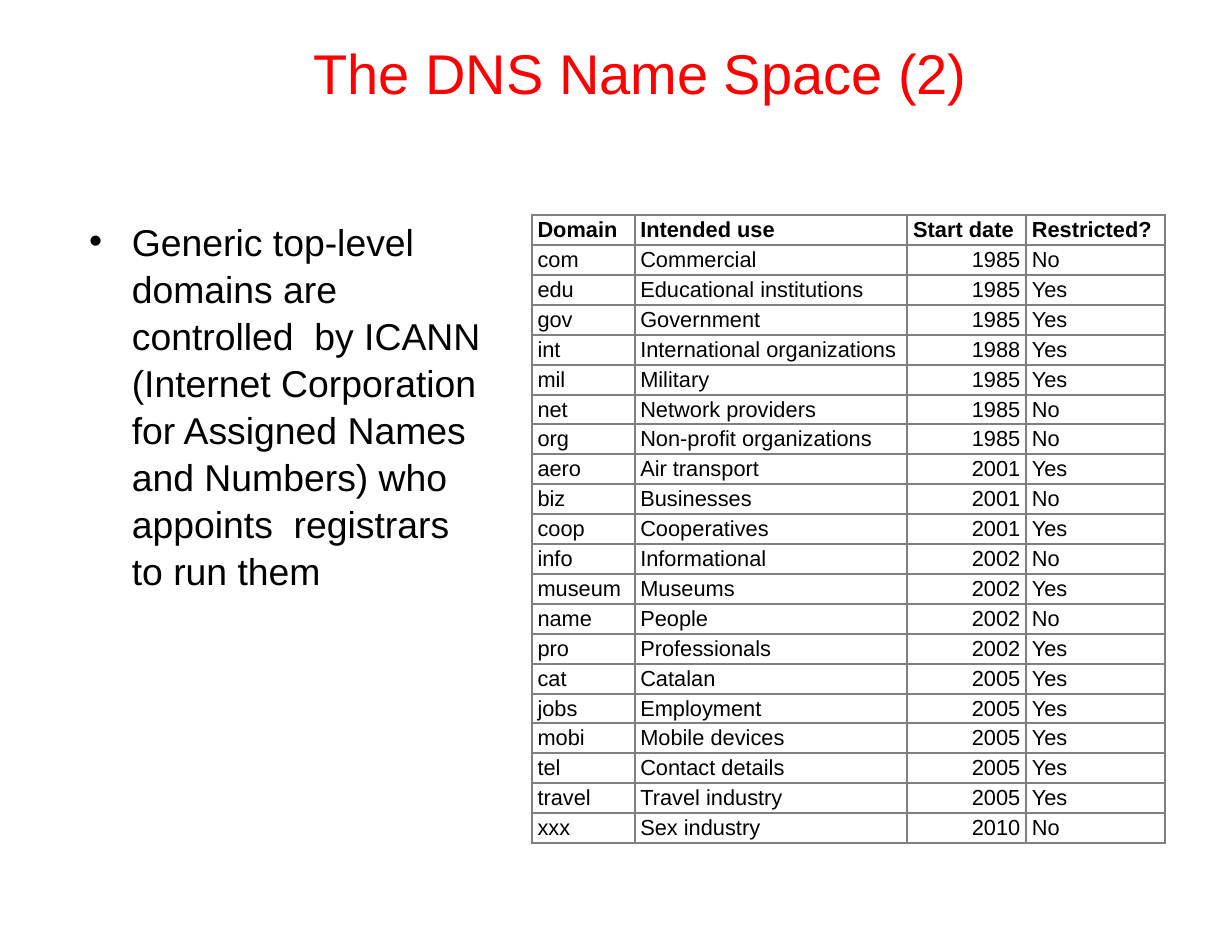
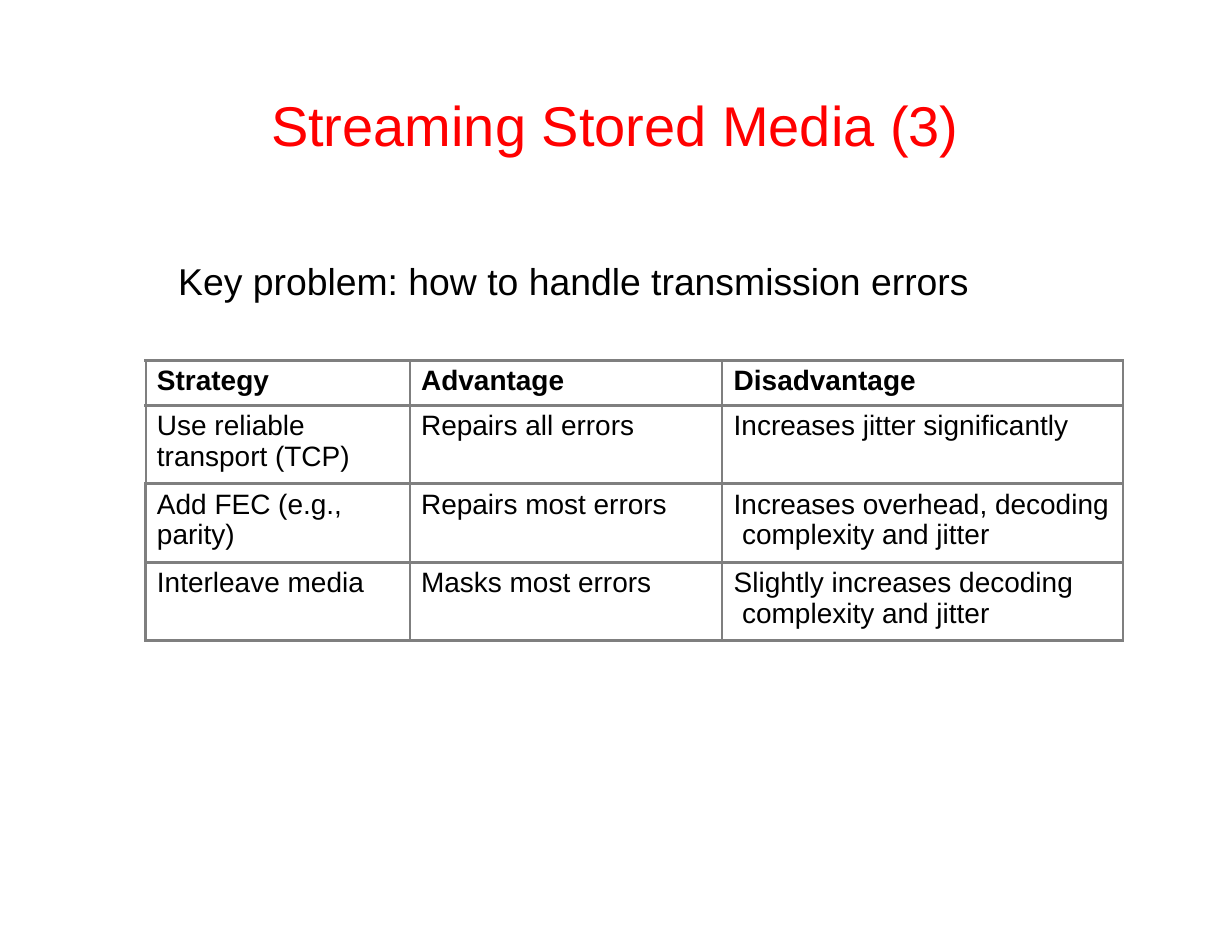
from lxml import etree
from pptx import Presentation
from pptx.dml.color import RGBColor
from pptx.enum.text import MSO_ANCHOR, MSO_AUTO_SIZE, PP_ALIGN
from pptx.oxml.ns import qn
from pptx.util import Cm, Pt

LEFT, RIGHT = PP_ALIGN.LEFT, PP_ALIGN.RIGHT
TOP, MIDDLE = MSO_ANCHOR.TOP, MSO_ANCHOR.MIDDLE
GROW = MSO_AUTO_SIZE.SHAPE_TO_FIT_TEXT
FONT = "Arial"
HUES = {"title": "FF0000", "text": "000000", "rule": "808080", "line": "7F7F7F"}


def put(shape, box, text, size, hue, bullet=False):
    """Move a placeholder, fill it with one paragraph and format it."""
    shape.left, shape.top, shape.width, shape.height = [Cm(n) for n in box]
    frame = shape.text_frame
    frame.text = text
    frame.word_wrap = True
    frame.auto_size = GROW
    frame.vertical_anchor = TOP
    frame.margin_left = frame.margin_right = frame.margin_bottom = 0
    frame.margin_top = Cm(0.03)
    para = frame.paragraphs[0]
    para.alignment = LEFT
    para.space_before = Pt(0)
    props = para._p.get_or_add_pPr()
    props.set("marL", str(Cm(0.98 if bullet else 0)))
    props.set("indent", str(Cm(-0.97 if bullet else 0)))
    if bullet:
        para.line_spacing = 1.05
        etree.SubElement(props, qn("a:buFont"), typeface=FONT)
        etree.SubElement(props, qn("a:buChar"), char="•")
    else:
        etree.SubElement(props, qn("a:buNone"))
    para.font.name, para.font.size = FONT, Pt(size)
    para.font.color.rgb = RGBColor.from_string(HUES[hue])


def grid(slide, spot, cols, highs, rows, size, pads, hue, rules):
    """Add a ruled table with a bold head row; rules gives side and flat widths."""
    table = slide.shapes.add_table(
        len(rows), len(cols), Cm(spot[0]), Cm(spot[1]), Cm(sum(cols)), Cm(sum(highs))
    ).table
    table.first_row = table.horz_banding = False
    for col, wide in zip(table.columns, cols):
        col.width = Cm(wide)
    for r, (row, high) in enumerate(zip(rows, highs)):
        table.rows[r].height = Cm(high)
        for c, text in enumerate(row):
            cell = table.cell(r, c)
            cell.text = text
            (cell.margin_left, cell.margin_top,
             cell.margin_right, cell.margin_bottom) = [Cm(n) for n in pads]
            for side in "LRTB":
                wide = rules[0] if side in "LR" else rules[1]
                if side == "L" and c == 0 and r > 1:
                    wide = rules[1]
                line = etree.SubElement(
                    cell._tc.get_or_add_tcPr(), qn("a:ln" + side), w=str(Pt(wide)))
                fill = etree.SubElement(line, qn("a:solidFill"))
                etree.SubElement(fill, qn("a:srgbClr"), val=HUES[hue])
            cell.fill.background()
            font = cell.text_frame.paragraphs[0].font
            font.name, font.size, font.bold = FONT, Pt(size), r == 0
            font.color.rgb = RGBColor.from_string(HUES["text"])
    return table


deck = Presentation()
deck.slide_width, deck.slide_height = Cm(27.94), Cm(21.59)
plan = deck.slide_layouts[1]

# Slide 1: title and list
slide = deck.slides.add_slide(plan)
put(slide.shapes.title, (7.11, 0.84, 14.88, 1.6), "The DNS Name Space (2)", 36, "title")
put(slide.placeholders[1], (2.01, 4.88, 9.07, 8.26),
    "Generic top-level domains are controlled  by ICANN (Internet Corporation "
    "for Assigned Names and Numbers) who appoints  registrars to run them",
    24, "text", bullet=True)

# Slide 1: table of domains
names = [
    ("Domain", "Intended use", "Start date", "Restricted?"),
    ("com", "Commercial", "1985", "No"),
    ("edu", "Educational institutions", "1985", "Yes"),
    ("gov", "Government", "1985", "Yes"),
    ("int", "International organizations", "1988", "Yes"),
    ("mil", "Military", "1985", "Yes"),
    ("net", "Network providers", "1985", "No"),
    ("org", "Non-profit organizations", "1985", "No"),
    ("aero", "Air transport", "2001", "Yes"),
    ("biz", "Businesses", "2001", "No"),
    ("coop", "Cooperatives", "2001", "Yes"),
    ("info", "Informational", "2002", "No"),
    ("museum", "Museums", "2002", "Yes"),
    ("name", "People", "2002", "No"),
    ("pro", "Professionals", "2002", "Yes"),
    ("cat", "Catalan", "2005", "Yes"),
    ("jobs", "Employment", "2005", "Yes"),
    ("mobi", "Mobile devices", "2005", "Yes"),
    ("tel", "Contact details", "2005", "Yes"),
    ("travel", "Travel industry", "2005", "Yes"),
    ("xxx", "Sex industry", "2010", "No"),
]
table = grid(slide, (12.06, 4.88), (2.33, 6.19, 2.69, 3.14),
             [14.25 / len(names)] * len(names), names, 14,
             (0.13, 0.03, 0.13, 0.03), "rule", (1.5, 1.5))
for cell in table.iter_cells():
    cell.vertical_anchor = MIDDLE
for r in range(1, len(names)):
    table.cell(r, 2).text_frame.paragraphs[0].alignment = RIGHT

# Slide 2: title and key line
slide = deck.slides.add_slide(plan)
put(slide.shapes.title, (6.15, 2.03, 15.67, 1.6), "Streaming Stored Media (3)", 36, "title")
put(slide.placeholders[1], (4.04, 5.82, 18.01, 1.09),
    "Key problem: how to handle transmission errors", 24, "text")

# Slide 2: table of strategies
ways = [
    ("Strategy", "Advantage", "Disadvantage"),
    ("Use reliable transport (TCP)", "Repairs all errors", "Increases jitter significantly"),
    ("Add FEC (e.g., parity)", "Repairs most errors",
     "Increases overhead, decoding complexity and jitter"),
    ("Interleave media", "Masks most errors",
     "Slightly increases decoding complexity and jitter"),
]
table = grid(slide, (3.3, 8.18), (5.99, 7.09, 9.09), (1.01, 1.78, 1.78, 1.78),
             ways, 18, (0, 0.13, 0, 0), "line", (1.5, 2.25))
for r in range(len(ways)):
    for c in range(3):
        para = table.cell(r, c).text_frame.paragraphs[0]
        para.line_spacing = 0.98
        hang = 0.19 if c == 2 and r > 1 else 0
        props = para._p.get_or_add_pPr()
        props.set("marL", str(Cm(0.26 + hang)))
        props.set("indent", str(Cm(-hang)))

deck.save("out.pptx")
